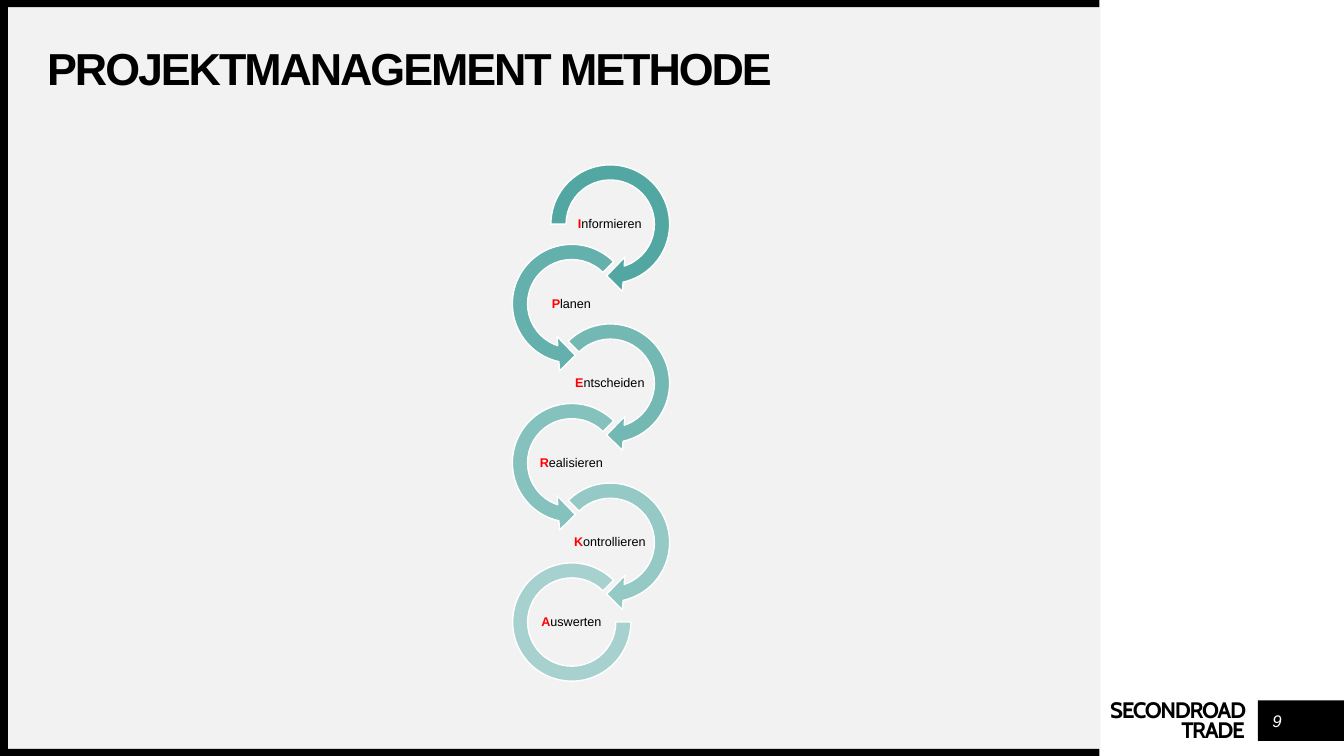
from pptx import Presentation
from pptx.dml.color import RGBColor as RGB
from pptx.enum.shapes import MSO_SHAPE as Kind
from pptx.enum.text import MSO_ANCHOR as Anchor, PP_ALIGN as Align
from pptx.util import Cm, Pt

COLORS = {
    "black": "000000", "white": "FFFFFF", "panel": "F2F2F2", "red": "FF0000",
    "steps": ["53A7A2", "63B0AC", "74B8B4", "85C1BD", "95C9C5", "A6D1CE"],
}


def add_form(parent, kind, box, fill, edge=None):
    form = parent.add_shape(kind, *[Cm(n) for n in box])
    form.shadow.inherit = False
    form.fill.solid()
    form.fill.fore_color.rgb = RGB.from_string(fill)
    if edge:
        form.line.color.rgb = RGB.from_string(edge)
        form.line.width = Pt(1)
    else:
        form.line.fill.background()
    return form


def set_text(shape, parts, size, align, font="Arial", bold=False, anchor=Anchor.MIDDLE):
    """Fill a shape with (text, color) parts and return its paragraph."""
    frame = shape.text_frame
    frame.word_wrap = True
    frame.vertical_anchor = anchor
    frame.margin_left = frame.margin_right = 0
    frame.margin_top = frame.margin_bottom = 0
    para = frame.paragraphs[0]
    para.alignment = align
    for text, color in parts:
        run = para.add_run()
        run.text = text
        run.font.name = font
        run.font.size = Pt(size)
        run.font.bold = bold
        run.font.color.rgb = RGB.from_string(color)
    return para


deck = Presentation()
deck.slide_width, deck.slide_height = Cm(33.87), Cm(19.05)
slide = deck.slides.add_slide(deck.slide_layouts[5])
shapes = slide.shapes
black, white = COLORS["black"], COLORS["white"]

# Panel, page number block and frame bars
for box, color in [
    ((0.2, 0.18, 27.53, 18.69), COLORS["panel"]),
    ((31.7, 17.65, 2.17, 1.02), black),
    ((0, 18.87, 27.71, 0.18), black),
    ((0, 0, 27.71, 0.18), black),
    ((0, 0.09, 0.2, 18.87), black),
]:
    add_form(shapes, Kind.RECTANGLE, box, color)

# Title, brought in front of the panel
title = shapes.title
shapes.element.append(title.element)
title.left, title.top, title.width, title.height = Cm(1.19), Cm(1.19), Cm(25.55), Cm(1.19)
para = set_text(title, [("PROJEKTMANAGEMENT METHODE", black)], 32, Align.LEFT, bold=True)
para.line_spacing = 0.9
para.runs[0].font._element.set("spc", "-150")

# Sender name and page number
name = shapes.add_textbox(Cm(26.75), Cm(17.63), Cm(4.62), Cm(1.12))
para = set_text(name, [("SECONDROAD TRADE", black)], 16, Align.RIGHT, "Cabin", True, Anchor.TOP)
name.text_frame.margin_top = Cm(0.1)
para.line_spacing = Pt(14)
para.runs[0].font._element.set("spc", "-100")

page = shapes.add_textbox(Cm(31.8), Cm(17.78), Cm(0.76), Cm(0.76))
para = set_text(page, [("9", white)], 12, Align.CENTER)
para.runs[0].font.italic = True

# Chain of steps: arrows alternate right and left, the last one is an open ring
steps = ["Informieren", "Planen", "Entscheiden", "Realisieren", "Kontrollieren", "Auswerten"]
size, pitch, inset = 3.48, 2.005, 0.25
chain = shapes.add_group_shape().shapes
for i, (step, color) in enumerate(zip(steps, COLORS["steps"])):
    left = 12.67 if i % 2 else 13.64
    top = 3.91 + i * pitch
    box = (left, top, size, size)
    if i == len(steps) - 1:
        kind, values = Kind.BLOCK_ARC, [0, 189, 0.127]
        box = (left + inset, top + inset, size - 2 * inset, size - 2 * inset)
    elif i % 2:
        kind, values = Kind.LEFT_CIRCULAR_ARROW, [0.11, 11.423, 63, 189, 0.125]
    else:
        kind, values = Kind.CIRCULAR_ARROW, [0.11, 11.423, 45, 135 if i else 108, 0.125]
    arrow = add_form(chain, kind, box, color, white)
    for k, value in enumerate(values):
        arrow.adjustments[k] = value

    label = chain.add_textbox(Cm(left + 0.76), Cm(top + 1.26), Cm(1.94), Cm(0.97))
    para = set_text(label, [(step[0], COLORS["red"]), (step[1:], black)], 9, Align.CENTER)
    para.line_spacing = 0.9
    para.runs[0].font.bold = True

deck.save("out.pptx")
